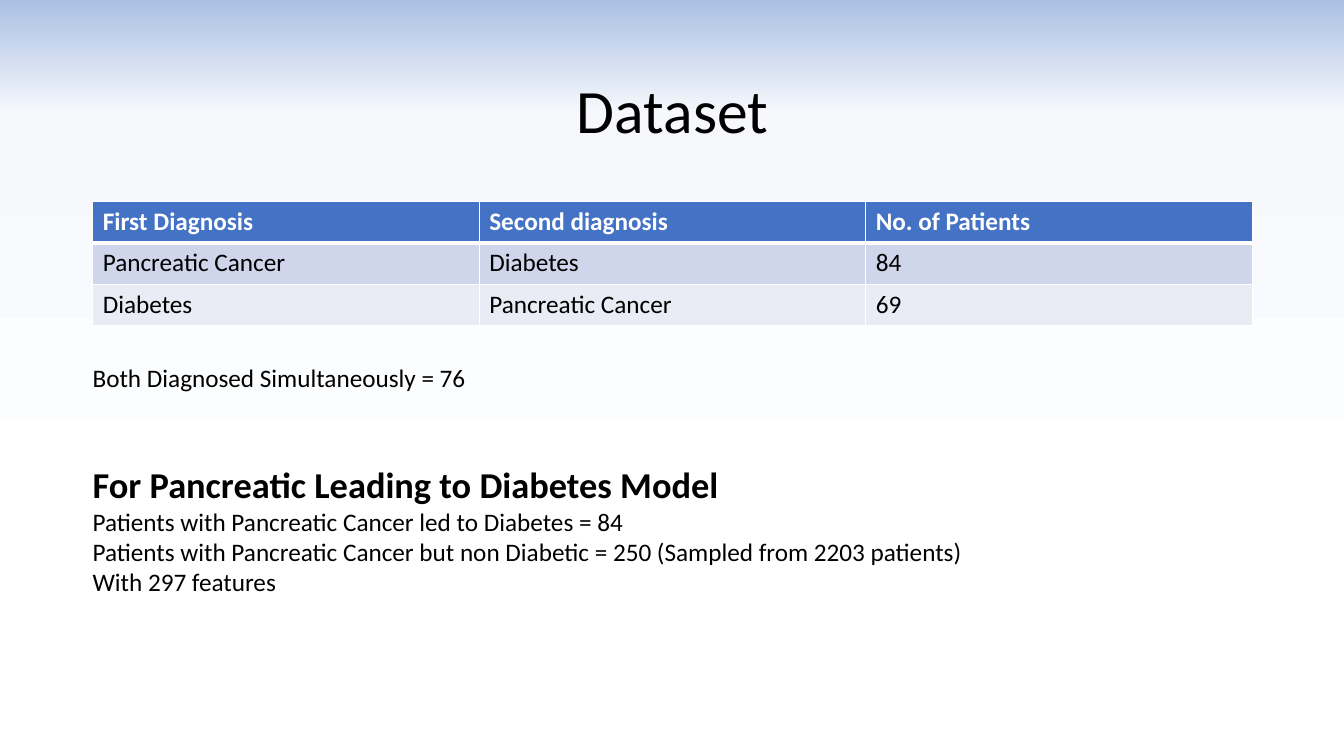
from lxml.etree import SubElement
from pptx import Presentation
from pptx.dml.color import RGBColor
from pptx.enum.text import MSO_ANCHOR, MSO_AUTO_SIZE, PP_ALIGN
from pptx.oxml.ns import qn
from pptx.util import Inches, Pt

BLACK = RGBColor(0x00, 0x00, 0x00)
WHITE = RGBColor(0xFF, 0xFF, 0xFF)
BLUE = RGBColor(0x44, 0x72, 0xC4)
BANDS = [RGBColor(0xCF, 0xD5, 0xEA), RGBColor(0xE9, 0xEB, 0xF5)]
SKY = RGBColor(0xAB, 0xC0, 0xE4)
MIST = RGBColor(0xF6, 0xF8, 0xFC)

LEFT, WIDE = Inches(0.92), Inches(11.5)
INSET = Inches(0.1)
ROW = Inches(0.41)

PLAIN = {"name": "Calibri", "size": Pt(18), "bold": False}
HEAD = {**PLAIN, "bold": True}
LARGE = {**HEAD, "size": Pt(26)}
TITLE = {**PLAIN, "size": Pt(44)}


def write(para, text, form, color=BLACK):
    run = para.add_run()
    run.text = text
    for key, value in form.items():
        setattr(run.font, key, value)
    run.font.color.rgb = color


def add_color(parent, color):
    """Append a solid RGB colour element to parent."""
    SubElement(parent, qn("a:srgbClr"), val=str(color))


deck = Presentation()
deck.slide_width, deck.slide_height = Inches(13.33), Inches(7.5)
slide = deck.slides.add_slide(deck.slide_layouts[5])

# Background: blue band on top, fading to white
fill = slide.background.fill
fill.gradient()
fill.gradient_angle = 270
stops = slide.background.fill._fill._gradFill.find(qn("a:gsLst"))
for stop in list(stops):
    stops.remove(stop)
for share, color in [(0, SKY), (15, MIST), (69, WHITE)]:
    add_color(SubElement(stops, qn("a:gs"), pos=str(share * 1000)), color)

# Title
title = slide.shapes.title
title.left, title.top = LEFT, Inches(0.4)
title.width, title.height = WIDE, Inches(1.45)
title.text_frame.vertical_anchor = MSO_ANCHOR.MIDDLE
para = title.text_frame.paragraphs[0]
para.alignment = PP_ALIGN.CENTER
para.line_spacing = 0.9
write(para, "Dataset", TITLE)

# Patient counts
rows = [
    ("First Diagnosis", "Second diagnosis", "No. of Patients"),
    ("Pancreatic Cancer", "Diabetes", "84"),
    ("Diabetes", "Pancreatic Cancer", "69"),
]
table = slide.shapes.add_table(
    len(rows), len(rows[0]), LEFT, Inches(2), WIDE, ROW * len(rows)).table
for r, row in enumerate(rows):
    table.rows[r].height = ROW
    for c, text in enumerate(row):
        cell = table.cell(r, c)
        props = cell._tc.get_or_add_tcPr()
        for side in "LRTB":
            thick = (r, side) in [(0, "B"), (1, "T")]
            line = SubElement(props, qn("a:ln" + side), w=str(Pt(3 if thick else 1)))
            add_color(SubElement(line, qn("a:solidFill")), WHITE)
        cell.fill.solid()
        cell.fill.fore_color.rgb = BANDS[r - 1] if r else BLUE
        write(cell.text_frame.paragraphs[0], text,
              PLAIN if r else HEAD, BLACK if r else WHITE)

# Notes below the table
notes = [
    (3.55, 5.08, 0.4, [("Both Diagnosed Simultaneously = 76", PLAIN)]),
    (4.54, 10.97, 1.75, [
        ("For Pancreatic Leading to Diabetes Model", LARGE),
        ("Patients with Pancreatic Cancer led to Diabetes = 84", PLAIN),
        ("Patients with Pancreatic Cancer but non Diabetic = 250 "
         "(Sampled from 2203 patients)", PLAIN),
        ("With 297 features", PLAIN),
    ]),
]
for top, width, height, lines in notes:
    frame = slide.shapes.add_textbox(
        LEFT - INSET, Inches(top), Inches(width), Inches(height)).text_frame
    frame.word_wrap = True
    frame.auto_size = MSO_AUTO_SIZE.SHAPE_TO_FIT_TEXT
    for n, (text, form) in enumerate(lines):
        para = frame.add_paragraph() if n else frame.paragraphs[0]
        write(para, text, form)

deck.save("out.pptx")
